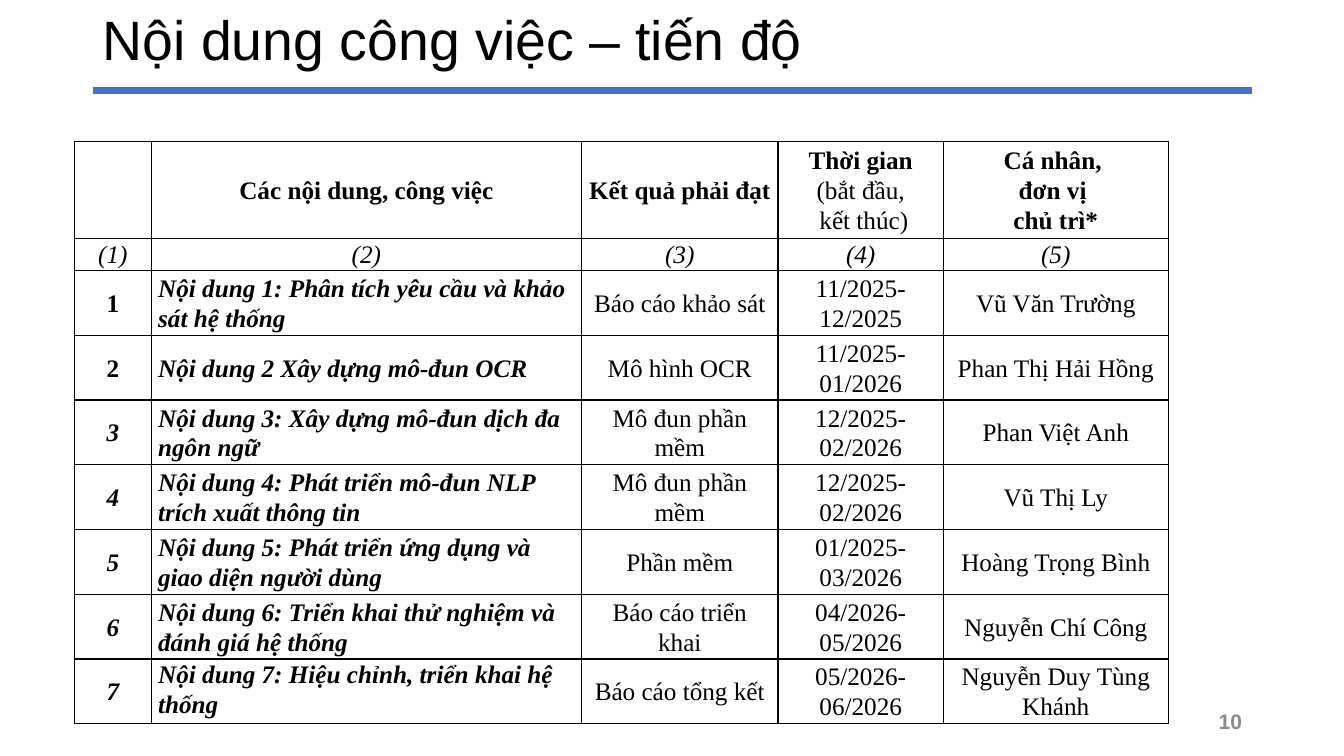
"""Build the work plan and schedule slide."""
from lxml import etree
from pptx import Presentation
from pptx.dml.color import RGBColor
from pptx.enum.shapes import MSO_CONNECTOR
from pptx.enum.text import MSO_ANCHOR, PP_ALIGN
from pptx.oxml.ns import qn
from pptx.util import Pt

STRAIGHT = MSO_CONNECTOR.STRAIGHT
MIDDLE, TOP = MSO_ANCHOR.MIDDLE, MSO_ANCHOR.TOP
LEFT, CENTER, RIGHT = PP_ALIGN.LEFT, PP_ALIGN.CENTER, PP_ALIGN.RIGHT

TITLE = "Nội dung công việc – tiến độ"
PAGE_NUMBER = "10"
HEADINGS = [
    [],
    [("Các nội dung, công việc", "b")],
    [("Kết quả phải đạt", "b")],
    [("Thời gian", "b"), ("(bắt đầu,\n kết thúc)", "")],
    [("Cá nhân, \nđơn vị \nchủ trì*", "b")],
]
TASKS = [
    ("Nội dung 1: Phân tích yêu cầu và khảo sát hệ thống", "Báo cáo khảo sát",
     "11/2025-12/2025", "Vũ Văn Trường"),
    ("Nội dung 2 Xây dựng mô-đun OCR", "Mô hình OCR",
     "11/2025-01/2026", "Phan Thị Hải Hồng"),
    ("Nội dung 3: Xây dựng mô-đun dịch đa ngôn ngữ", "Mô đun phần mềm",
     "12/2025-02/2026", "Phan Việt Anh"),
    ("Nội dung 4: Phát triển mô-đun NLP trích xuất thông tin", "Mô đun phần mềm",
     "12/2025-02/2026", "Vũ Thị Ly"),
    ("Nội dung 5: Phát triển ứng dụng và giao diện người dùng", "Phần mềm",
     "01/2025-03/2026", "Hoàng Trọng Bình"),
    ("Nội dung 6: Triển khai thử nghiệm và đánh giá hệ thống", "Báo cáo triển khai",
     "04/2026-05/2026", "Nguyễn Chí Công"),
    ("Nội dung 7: Hiệu chỉnh, triển khai hệ thống", "Báo cáo tổng kết",
     "05/2026-06/2026", "Nguyễn Duy Tùng Khánh"),
]
UPRIGHT_NUMBERS = 2
COLUMN_WIDTHS = [54.7, 307.4, 140.4, 118.1, 160.6]
HEADING_HEIGHT, INDEX_HEIGHT, TASK_HEIGHT, SHORT_TASK_HEIGHT = 69.1, 22.3, 45.5, 42.8
SHORT_TASK = 1
TABLE_LEFT, TABLE_TOP = 53.3, 100.8
COLORS = {"text": "000000", "rule": "4472C4", "page": "8C8C8C", "border": "000000"}


def write(paragraph, text, font_name, size, color, style="", align=LEFT, spacing=None):
    paragraph.alignment = align
    if spacing:
        paragraph.line_spacing = spacing
    for index, line in enumerate(text.split("\n")):
        if index:
            paragraph.add_line_break()
        run = paragraph.add_run()
        run.text = line
        font = run.font
        font.name, font.size = font_name, Pt(size)
        font.bold, font.italic = "b" in style, "i" in style
        font.color.rgb = RGBColor.from_string(COLORS[color])


def add_label(slide, box, text, size, color, **look):
    frame = slide.shapes.add_textbox(*map(Pt, box)).text_frame
    frame.word_wrap = True
    frame.vertical_anchor = MIDDLE
    write(frame.paragraphs[0], text, "Arial", size, color, **look)


def add_rule(slide):
    rule = slide.shapes.add_connector(STRAIGHT, Pt(66.25), Pt(64.8), Pt(894.25), Pt(64.8))
    rule.line.color.rgb = RGBColor.from_string(COLORS["rule"])
    rule.line.width = Pt(5)
    etree.SubElement(rule._element.spPr, qn("a:effectLst"))


def frame_cell(cell):
    properties = cell._tc.get_or_add_tcPr()
    for side in ("lnL", "lnR", "lnT", "lnB"):
        border = etree.SubElement(properties, qn(f"a:{side}"), w=str(Pt(1)))
        fill = etree.SubElement(border, qn("a:solidFill"))
        etree.SubElement(fill, qn("a:srgbClr"), val=COLORS["border"])
    cell.fill.background()
    cell.margin_left = cell.margin_right = Pt(5)
    cell.margin_top = cell.margin_bottom = 0
    cell.vertical_anchor = MIDDLE


def plan_rows():
    rows = [HEADINGS, [[(f"({number})", "i")] for number in range(1, len(HEADINGS) + 1)]]
    for number, (task, *details) in enumerate(TASKS, 1):
        number_style = "b" if number <= UPRIGHT_NUMBERS else "bi"
        rows.append([[(str(number), number_style)], [(task, "bi")]]
                    + [[(detail, "")] for detail in details])
    return rows


def add_plan(slide):
    rows = plan_rows()
    heights = [HEADING_HEIGHT, INDEX_HEIGHT] + [TASK_HEIGHT] * len(TASKS)
    heights[2 + SHORT_TASK] = SHORT_TASK_HEIGHT
    plan = slide.shapes.add_table(
        len(rows), len(COLUMN_WIDTHS), Pt(TABLE_LEFT), Pt(TABLE_TOP),
        Pt(sum(COLUMN_WIDTHS)), Pt(sum(heights))).table
    plan.first_row = plan.horz_banding = False
    for column, width in zip(plan.columns, COLUMN_WIDTHS):
        column.width = Pt(width)
    for row_index, (row, height) in enumerate(zip(rows, heights)):
        plan.rows[row_index].height = Pt(height)
        for column_index, lines in enumerate(row):
            cell = plan.cell(row_index, column_index)
            frame_cell(cell)
            align = LEFT if column_index == 1 and row_index > 1 else CENTER
            for line_index, (text, style) in enumerate(lines):
                frame = cell.text_frame
                paragraph = frame.add_paragraph() if line_index else frame.paragraphs[0]
                write(paragraph, text, "Times New Roman", 18, "text", style, align, 1.07)
    plan.cell(len(rows) - 1, 1).vertical_anchor = TOP


def main():
    deck = Presentation()
    deck.slide_width, deck.slide_height = Pt(960), Pt(540)
    slide = deck.slides.add_slide(deck.slide_layouts[6])
    add_rule(slide)
    add_label(slide, (66.25, 7.2, 828, 46), TITLE, 39.6, "text", spacing=0.9)
    add_plan(slide)
    add_label(slide, (678.25, 500.5, 216, 28.75), PAGE_NUMBER, 15, "page",
              style="b", align=RIGHT)
    deck.save("out.pptx")


if __name__ == "__main__":
    main()
